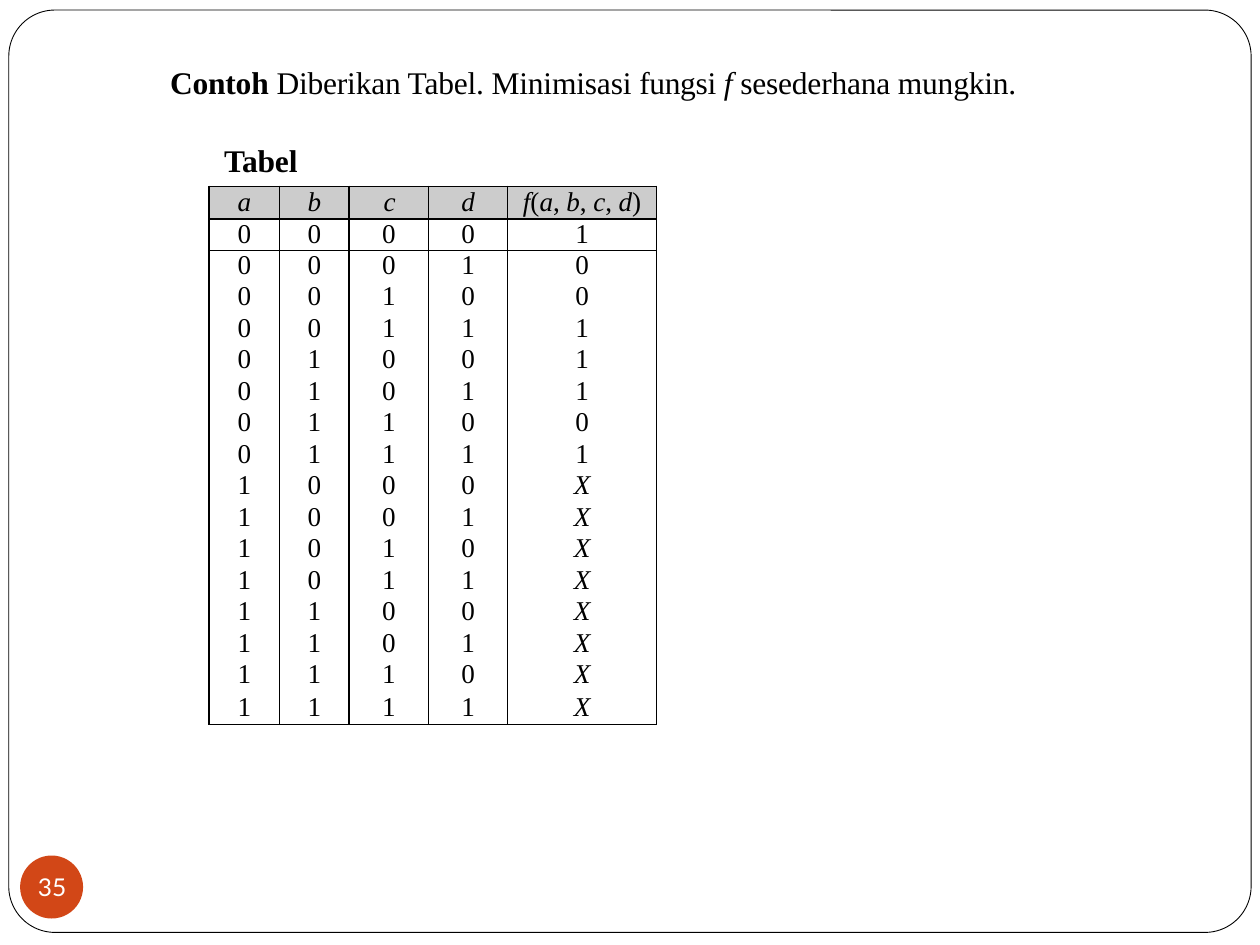
from itertools import product
from lxml import etree
from pptx import Presentation
from pptx.dml.color import RGBColor
from pptx.enum.shapes import MSO_SHAPE
from pptx.enum.text import PP_ALIGN
from pptx.oxml.ns import qn
from pptx.util import Inches, Pt

ROUND = MSO_SHAPE.ROUNDED_RECTANGLE
OVAL = MSO_SHAPE.OVAL
CENTER = PP_ALIGN.CENTER
RIGHT = PP_ALIGN.RIGHT
BLACK = RGBColor(0, 0, 0)
WHITE = RGBColor(255, 255, 255)
GRAY = RGBColor(0xCC, 0xCC, 0xCC)
ORANGE = RGBColor(0xD2, 0x47, 0x17)
SERIF = "Times New Roman"


def write(para, text, size=18, font=SERIF, color=BLACK, bold=False, italic=False, space=0):
    run = para.add_run()
    run.text = text
    run.font.size = Pt(size)
    run.font.name = font
    run.font.color.rgb = color
    run.font.bold = bold
    run.font.italic = italic
    if space:
        run._r.get_or_add_rPr().set("spc", str(space))


def border(cell, side, shown):
    line = etree.SubElement(cell._tc.get_or_add_tcPr(), qn(f"a:ln{side}"), w=str(Pt(1)))
    if shown:
        fill = etree.SubElement(line, qn("a:solidFill"))
        etree.SubElement(fill, qn("a:srgbClr"), val=str(BLACK))
    else:
        etree.SubElement(line, qn("a:noFill"))


prs = Presentation()
prs.slide_width = Inches(10)
prs.slide_height = Inches(7.5)
slide = prs.slides.add_slide(prs.slide_layouts[6])
shapes = slide.shapes

frame = shapes.add_shape(ROUND, Inches(0.07), Inches(0.08), Inches(9.86), Inches(7.32))
frame.adjustments[0] = 0.05
frame.fill.background()
frame.line.color.rgb = BLACK
frame.line.width = Pt(0.5)
frame.shadow.inherit = False

badge = shapes.add_shape(OVAL, Inches(0.16), Inches(6.79), Inches(0.5), Inches(0.5))
badge.fill.solid()
badge.fill.fore_color.rgb = ORANGE
badge.line.fill.background()
badge.shadow.inherit = False

title = shapes.add_textbox(Inches(1.34), Inches(0.46), Inches(6.9), Inches(0.92)).text_frame
number = shapes.add_textbox(Inches(0.27), Inches(6.92), Inches(0.29), Inches(0.25)).text_frame
for box in (title, number):
    box.word_wrap = True
    box.margin_left = box.margin_top = box.margin_right = box.margin_bottom = 0
title.margin_left = Inches(0.01)
title.margin_top = Inches(0.04)
number.margin_left = Inches(0.03)

para = title.paragraphs[0]
write(para, "Contoh ", bold=True, space=-10)
write(para, "Diberikan Tabel. Minimisasi ", space=-10)
write(para, "fungsi ", space=-20)
write(para, "f ", italic=True, space=-10)
write(para, "sesederhana mungkin.", space=-10)
para = title.add_paragraph()
para.space_before = Pt(22.7)
para._p.get_or_add_pPr().set("marL", str(Inches(0.43)))
write(para, "Tabel", bold=True, space=-10)

para = number.paragraphs[0]
para.line_spacing = Pt(16.6)
write(para, "35", size=14, font="Lato", color=WHITE)

heads = ["a", "b", "c", "d", "f(a, b, c, d)"]
values = "10011101XXXXXXXX"
rows = [heads] + [[*bits, out] for bits, out in zip(product("01", repeat=4), values)]
last = len(rows) - 1
table = shapes.add_table(len(rows), len(heads), Inches(1.66), Inches(1.48), Inches(3.55), Inches(4.27)).table
table.first_row = False
table.horz_banding = False
for col, width in zip(table.columns, [0.56, 0.55, 0.63, 0.63, 1.18]):
    col.width = Inches(width)

for i, row in enumerate(rows):
    table.rows[i].height = Inches(0.26 if i in (0, last) else 0.25)
    for j, text in enumerate(row):
        cell = table.cell(i, j)
        cell.margin_left = cell.margin_top = cell.margin_right = cell.margin_bottom = 0
        for side in "LR":
            border(cell, side, True)
        border(cell, "T", i <= 2)
        border(cell, "B", i <= 1 or i == last)
        if i == 0:
            cell.fill.solid()
            cell.fill.fore_color.rgb = GRAY
        else:
            cell.fill.background()
        para = cell.text_frame.paragraphs[0]
        para.alignment = CENTER
        if j == 2:
            para.alignment = RIGHT
            cell.margin_right = Inches(0.26)
        para.line_spacing = Pt({0: 17.8, 1: 17.2, last: 17.4}.get(i, 16.9))
        parts = ["f", "(", "a", ", ", "b", ", ", "c", ", ", "d", ")"] if text == heads[-1] else [text]
        for part in parts:
            write(para, part, size=15.5, italic=part.isalpha(), space=-10 if len(parts) > 1 else 0)

prs.save("out.pptx")
